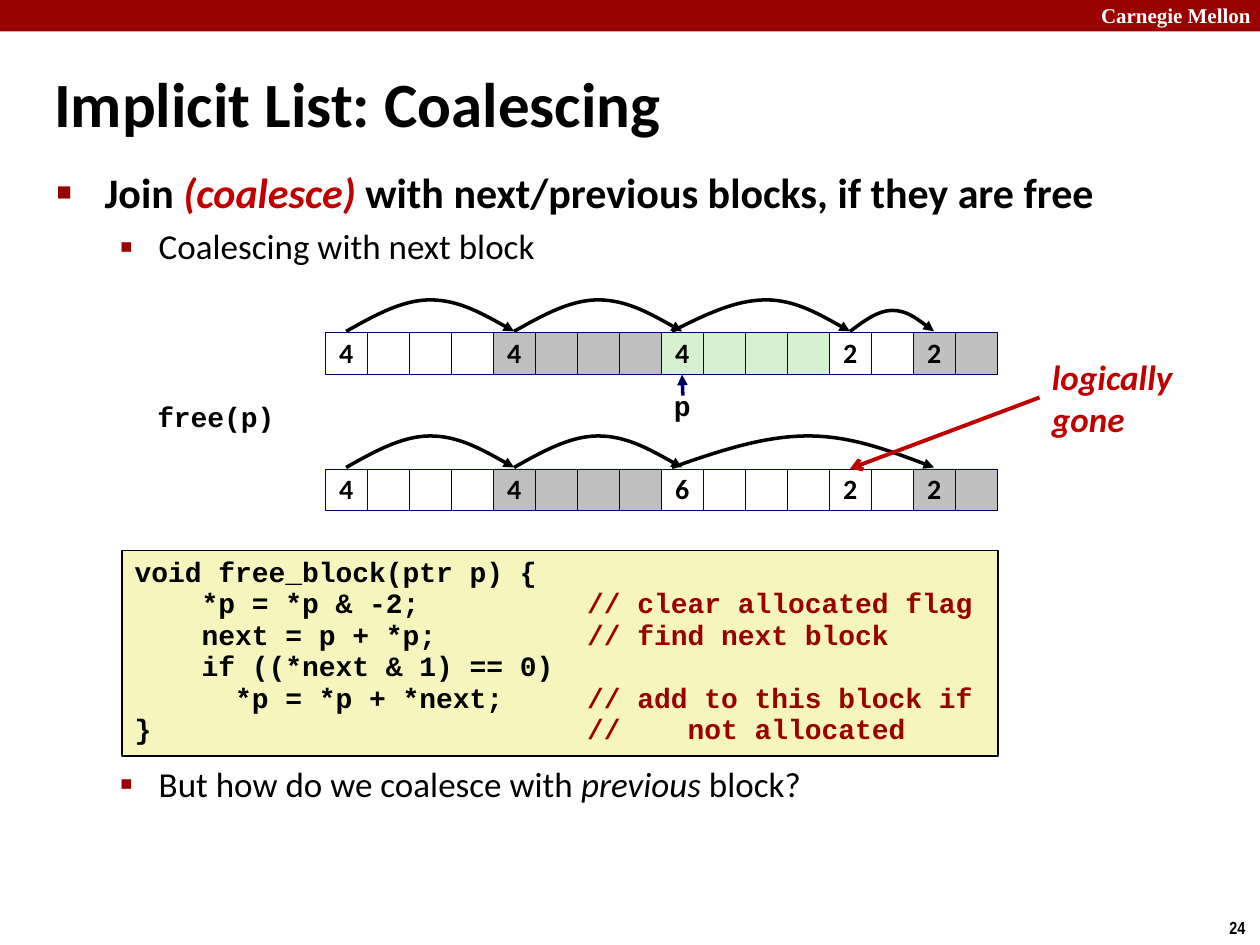
from lxml import etree
from pptx import Presentation
from pptx.dml.color import RGBColor
from pptx.enum.shapes import MSO_CONNECTOR, MSO_SHAPE
from pptx.enum.text import MSO_ANCHOR, MSO_AUTO_SIZE, PP_ALIGN
from pptx.oxml.ns import qn
from pptx.util import Inches, Pt

RECTANGLE = MSO_SHAPE.RECTANGLE
STRAIGHT = MSO_CONNECTOR.STRAIGHT
TOP, MIDDLE = MSO_ANCHOR.TOP, MSO_ANCHOR.MIDDLE
LEFT, CENTER = PP_ALIGN.LEFT, PP_ALIGN.CENTER
NO_FIT = MSO_AUTO_SIZE.NONE

BLACK, WHITE, NAVY = "000000", "FFFFFF", "000066"
DARK_RED, RED = "990000", "C00000"
GRAY, SILVER, GREEN, CREAM = "BFBFBF", "C0C0C0", "D5F1CF", "F6F5BD"

CELL = 1 / 3
ROW_LEFT = 2.58
ARC_HEIGHT = 0.25
COMMENT_COLUMN = 27

BEFORE_TOP, AFTER_TOP = 2.64, 3.72
BEFORE_BLOCKS = [("4", 4, WHITE), ("4", 4, GRAY), ("4", 4, GREEN), ("2", 2, WHITE), ("2", 2, SILVER)]
AFTER_BLOCKS = [("4", 4, WHITE), ("4", 4, GRAY), ("6", 4, WHITE), ("2", 2, WHITE), ("2", 2, SILVER)]
BEFORE_JUMPS = [(0, 4, 0), (4, 8, 0), (8, 12, -0.08), (12, 14, 0)]
AFTER_JUMPS = [(0, 4, 0), (4, 8, 0), (8, 14, -0.08)]

CODE = [
    ("void free_block(ptr p) {", ""),
    ("    *p = *p & -2;", "// clear allocated flag"),
    ("    next = p + *p;", "// find next block"),
    ("    if ((*next & 1) == 0)", ""),
    ("      *p = *p + *next;", "// add to this block if"),
    ("}", "//    not allocated"),
]


def color(value):
    return RGBColor.from_string(value)


def center_of(cell):
    return ROW_LEFT + (cell + 0.5) * CELL


class SlideBuilder:
    """Holds the text style and the current slide, and adds each kind of element."""

    def __init__(self, page, font="Calibri", mono="Courier New"):
        self.page = page
        self.shapes = page.shapes
        self.font = font
        self.mono = mono

    def span(self, para, text, size, ink=BLACK, bold=True, italic=False, font=None):
        span = para.add_run()
        span.text = text
        span.font.name = font or self.font
        span.font.size = Pt(size)
        span.font.bold = bold
        span.font.italic = italic
        span.font.color.rgb = color(ink)

    def place(self, box, left, top, width, height):
        box.left, box.top = Inches(left), Inches(top)
        box.width, box.height = Inches(width), Inches(height)
        box.text_frame.auto_size = NO_FIT

    def title(self, text, *bounds):
        box = self.shapes.title
        self.place(box, *bounds)
        box.text_frame.vertical_anchor = MIDDLE
        para = box.text_frame.paragraphs[0]
        para.alignment = LEFT
        self.span(para, text, 36)

    def bullet(self, para, level, char, percent, margin, indent, spacing, before):
        para.level = level
        para.line_spacing = spacing
        para.space_before = Pt(before)
        props = para._p.get_or_add_pPr()
        props.set("marL", str(Inches(margin)))
        props.set("indent", str(Inches(indent)))
        tint = etree.SubElement(props, qn("a:buClr"))
        etree.SubElement(tint, qn("a:srgbClr"), val=DARK_RED)
        etree.SubElement(props, qn("a:buSzPct"), val=str(percent * 1000))
        etree.SubElement(props, qn("a:buChar"), char=char)

    def body(self, *bounds):
        box = self.page.placeholders[1]
        self.place(box, *bounds)
        frame = box.text_frame
        frame.vertical_anchor = TOP
        para = frame.paragraphs[0]
        self.bullet(para, 0, "■", 60, 0.38, -0.38, 0.83, 0)
        self.span(para, "Join ", 24)
        self.span(para, "(coalesce) ", 24, RED, italic=True)
        self.span(para, "with next/previous blocks, if they are free", 24)
        para = frame.add_paragraph()
        self.bullet(para, 1, "▪", 110, 0.81, -0.31, 0.88, 7.5)
        self.span(para, "Coalescing with next block", 20, bold=False)
        para = frame.add_paragraph()
        self.bullet(para, 1, "▪", 110, 0.81, -0.31, 0.88, 286)
        self.span(para, "But how do we coalesce with ", 20, bold=False)
        self.span(para, "previous", 20, bold=False, italic=True)
        self.span(para, " block?", 20, bold=False)

    def label(self, lines, left, top, width, height, size, wrap=False, spacing=1.0, **style):
        box = self.shapes.add_textbox(Inches(left), Inches(top), Inches(width), Inches(height))
        frame = box.text_frame
        frame.word_wrap = wrap
        for index, line in enumerate(lines):
            para = frame.add_paragraph() if index else frame.paragraphs[0]
            para.line_spacing = spacing
            self.span(para, line, size, **style)
        return box

    def rectangle(self, left, top, width, height, fill, line=None, weight=0.25):
        box = self.shapes.add_shape(RECTANGLE, Inches(left), Inches(top), Inches(width), Inches(height))
        box.shadow.inherit = False
        box.fill.solid()
        box.fill.fore_color.rgb = color(fill)
        if line:
            box.line.color.rgb = color(line)
            box.line.width = Pt(weight)
        else:
            box.line.fill.background()
        return box

    def code(self, lines, *bounds):
        box = self.rectangle(*bounds, CREAM, BLACK, 1)
        frame = box.text_frame
        frame.word_wrap = True
        frame.vertical_anchor = TOP
        para = frame.paragraphs[0]
        para.alignment = LEFT
        para.line_spacing = 0.94
        for index, (statement, comment) in enumerate(lines):
            if index:
                para.add_line_break()
            text = statement.ljust(COMMENT_COLUMN) if comment else statement
            self.span(para, text, 16, font=self.mono)
            if comment:
                self.span(para, comment, 16, DARK_RED, font=self.mono)

    def heap_row(self, top, blocks):
        cells = []
        for size_word, words, fill in blocks:
            for word in range(words):
                cell = self.rectangle(ROW_LEFT + len(cells) * CELL, top, CELL, CELL, fill, NAVY)
                cells.append(cell)
                if word == 0:
                    frame = cell.text_frame
                    frame.word_wrap = False
                    frame.vertical_anchor = MIDDLE
                    para = frame.paragraphs[0]
                    para.alignment = CENTER
                    para.line_spacing = 0.98
                    self.span(para, size_word, 16)
        return cells

    def stroke(self, shape, ink, weight, head):
        shape.line.color.rgb = color(ink)
        shape.line.width = Pt(weight)
        outline = shape._element.spPr.find(qn("a:ln"))
        etree.SubElement(outline, qn("a:tailEnd"), type=head)

    def arc(self, row_top, first, last, shift):
        start, end = center_of(first) + shift, center_of(last)
        peak = (center_of(first) + end) / 2
        height = min(ARC_HEIGHT, (end - start) / 4)
        base = row_top - 0.01
        builder = self.shapes.build_freeform(Inches(start), Inches(base))
        builder.add_line_segments(
            [(Inches(peak), Inches(base - height)), (Inches(end), Inches(base))], close=False)
        curve = builder.convert_to_shape()
        rise, run = peak - start, end - peak
        bends = [
            [(rise / 3, height / 2), (rise * 2 / 3, 0), (rise, 0)],
            [(rise + run / 3, 0), (rise + run * 2 / 3, height / 2), (rise + run, height)],
        ]
        for segment, points in zip(list(curve._element.iter(qn("a:lnTo"))), bends):
            bend = etree.Element(qn("a:cubicBezTo"))
            for x, y in points:
                etree.SubElement(bend, qn("a:pt"), x=str(Inches(x)), y=str(Inches(y)))
            segment.getparent().replace(segment, bend)
        curve.shadow.inherit = False
        curve.fill.background()
        self.stroke(curve, BLACK, 2, "triangle")

    def arrow(self, x1, y1, x2, y2, ink, weight, head):
        line = self.shapes.add_connector(STRAIGHT, Inches(x1), Inches(y1), Inches(x2), Inches(y2))
        self.stroke(line, ink, weight, head)
        etree.SubElement(line._element.spPr, qn("a:effectLst"))
        return line


def main():
    deck = Presentation()
    deck.slide_width, deck.slide_height = Inches(10), Inches(7.5)
    slide = SlideBuilder(deck.slides.add_slide(deck.slide_layouts[1]))
    slide.rectangle(0, 0, 10, 0.25, DARK_RED)
    slide.label(["Carnegie Mellon"], 8.64, -0.03, 1.43, 0.3, 12, wrap=True, ink=WHITE, font="Times New Roman")
    slide.label(["24"], 9.66, 7.23, 0.34, 0.27, 10, font="Arial Narrow")
    slide.title("Implicit List: Coalescing", 0.33, 0.5, 7.4, 0.63)
    slide.body(0.35, 1.34, 9.09, 6)
    slide.code(CODE, 0.97, 4.37, 6.95, 1.63)

    before = slide.heap_row(BEFORE_TOP, BEFORE_BLOCKS)
    after = slide.heap_row(AFTER_TOP, AFTER_BLOCKS)
    for top, jumps in ((BEFORE_TOP, BEFORE_JUMPS), (AFTER_TOP, AFTER_JUMPS)):
        for jump in jumps:
            slide.arc(top, *jump)

    slide.label(["free(p)"], 1.15, 3.14, 1.14, 0.36, 16, spacing=0.94, font=slide.mono)
    slide.label(["p"], 5.25, 3.06, 0.33, 0.36, 16, spacing=0.94, font=slide.mono)
    pointer = slide.arrow(5.42, 3.14, 5.42, 2.97, NAVY, 2, "triangle")
    pointer.end_connect(before[8], 2)
    note = slide.label(["logically", "gone"], 8.25, 2.77, 1.16, 0.77, 20, ink=RED, italic=True)
    callout = slide.arrow(8.25, 3.16, 6.75, 3.72, RED, 2.25, "arrow")
    callout.begin_connect(note, 1)
    callout.end_connect(after[12], 0)
    deck.save("out.pptx")


if __name__ == "__main__":
    main()
